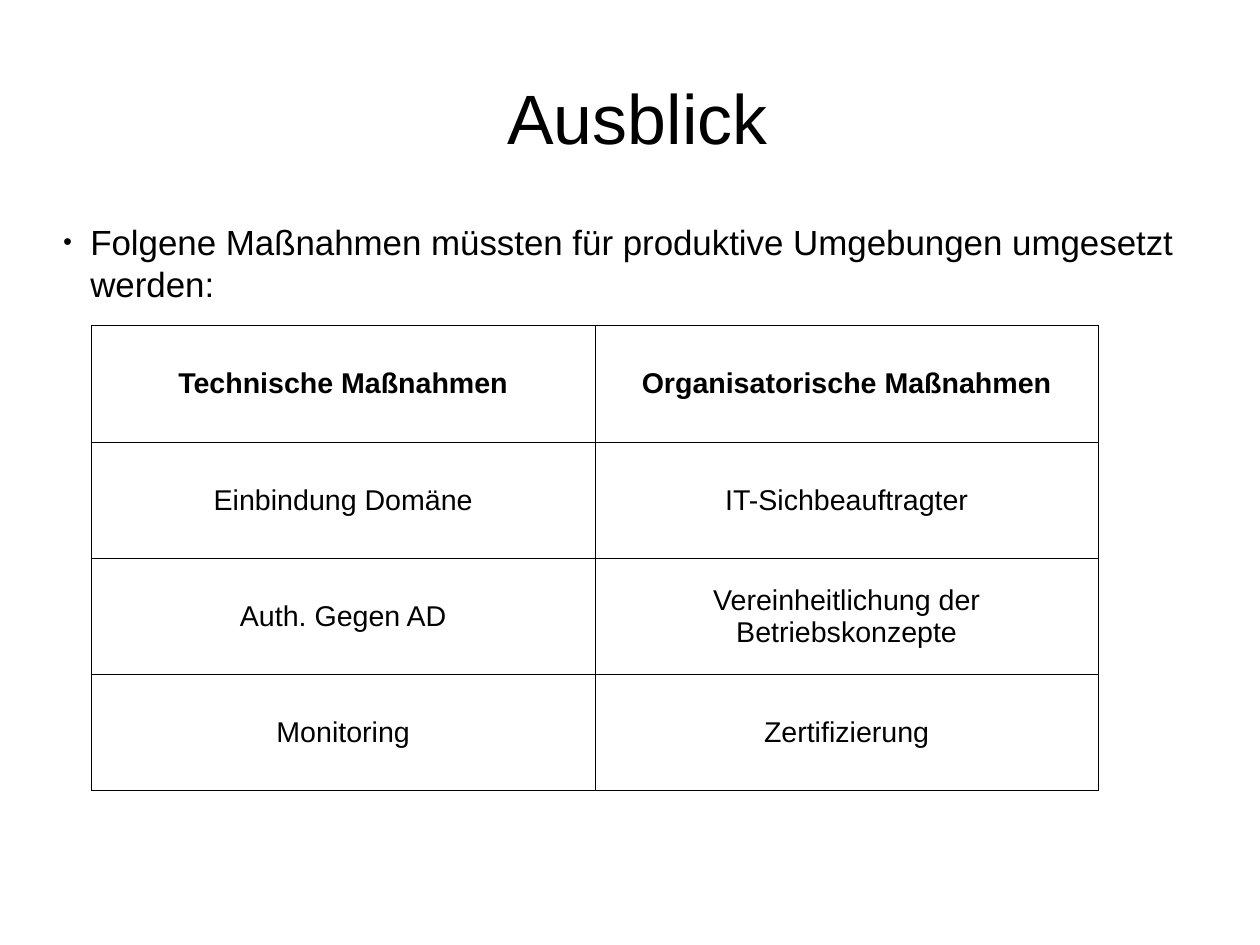
from lxml import etree
from pptx import Presentation
from pptx.dml.color import RGBColor
from pptx.enum import text
from pptx.oxml import ns
from pptx.util import Cm, Inches, Pt

BLACK = RGBColor(0, 0, 0)
WHITE = RGBColor(255, 255, 255)
FONT = "Arial"
ROWS = [
    ("Technische Maßnahmen", "Organisatorische Maßnahmen"),
    ("Einbindung Domäne", "IT-Sichbeauftragter"),
    ("Auth. Gegen AD", "Vereinheitlichung der Betriebskonzepte"),
    ("Monitoring", "Zertifizierung"),
]


def put(frame, words, size=18, bold=False, align=text.PP_ALIGN.CENTER):
    """Write one formatted paragraph and return it."""
    para = frame.paragraphs[0]
    para.alignment = align
    run = para.add_run()
    run.text = words
    font = run.font
    font.name, font.size, font.bold = FONT, Pt(size), bold
    font.color.rgb = BLACK
    return para


def trim(frame, anchor):
    """Clear the margins of a text frame, wrap it and anchor it."""
    frame.margin_left = frame.margin_right = 0
    frame.margin_top = frame.margin_bottom = 0
    frame.word_wrap = True
    frame.auto_size = text.MSO_AUTO_SIZE.NONE
    frame.vertical_anchor = anchor


def add(parent, tag, **attrs):
    """Append a DrawingML element with its attributes."""
    node = etree.SubElement(parent, ns.qn(tag))
    for key, value in attrs.items():
        node.set(key, str(value))
    return node


def head(slide, x, y, w, h):
    """Place the slide title in its box."""
    title = slide.shapes.title
    title.left, title.top = Inches(x), Inches(y)
    title.width, title.height = Inches(w), Inches(h)
    trim(title.text_frame, text.MSO_ANCHOR.MIDDLE)
    put(title.text_frame, " Ausblick", size=44)


def intro(slide, x, y, w, h):
    """Place the bulleted lead sentence in its box."""
    box = slide.shapes.add_textbox(Inches(x), Inches(y), Inches(w), Inches(h))
    trim(box.text_frame, text.MSO_ANCHOR.TOP)
    para = put(
        box.text_frame,
        "Folgene Maßnahmen müssten für produktive Umgebungen umgesetzt werden:",
        size=22, align=text.PP_ALIGN.LEFT)
    props = para._p.get_or_add_pPr()
    props.set("marL", str(Inches(0.24)))
    props.set("indent", str(-Inches(0.24)))
    add(add(props, "a:buClr"), "a:srgbClr", val=BLACK)
    add(props, "a:buSzPct", val=45000)
    add(props, "a:buFont", typeface=FONT)
    add(props, "a:buChar", char="●")


def edge(cell):
    """Draw a thin line on all four sides of a cell."""
    props = cell._tc.get_or_add_tcPr()
    for side in "LRTB":
        line = add(props, f"a:ln{side}", w=Pt(0.57))
        add(add(line, "a:solidFill"), "a:srgbClr", val=BLACK)


def grid(slide, x, y, w, h):
    """Place the table of measures in its box."""
    frame = slide.shapes.add_table(
        len(ROWS), len(ROWS[0]), Inches(x), Inches(y), Inches(w), Inches(h))
    table = frame.table
    table.first_row = table.horz_banding = False
    for r, row in enumerate(ROWS):
        for c, words in enumerate(row):
            cell = table.cell(r, c)
            cell.vertical_anchor = text.MSO_ANCHOR.MIDDLE
            put(cell.text_frame, words, bold=r == 0)
            edge(cell)
            cell.fill.solid()
            cell.fill.fore_color.rgb = WHITE


def main():
    """Build the slide and save it."""
    deck = Presentation()
    deck.slide_width, deck.slide_height = Cm(28), Cm(21)
    deck.element.sldSz.attrib.pop("type", None)
    slide = deck.slides.add_slide(deck.slide_layouts[5])
    head(slide, 0.55, 0.33, 9.92, 1.38)
    intro(slide, 0.55, 1.93, 9.92, 4.79)
    grid(slide, 0.8, 2.85, 8.81, 4.07)
    deck.save("out.pptx")


if __name__ == "__main__":
    main()
